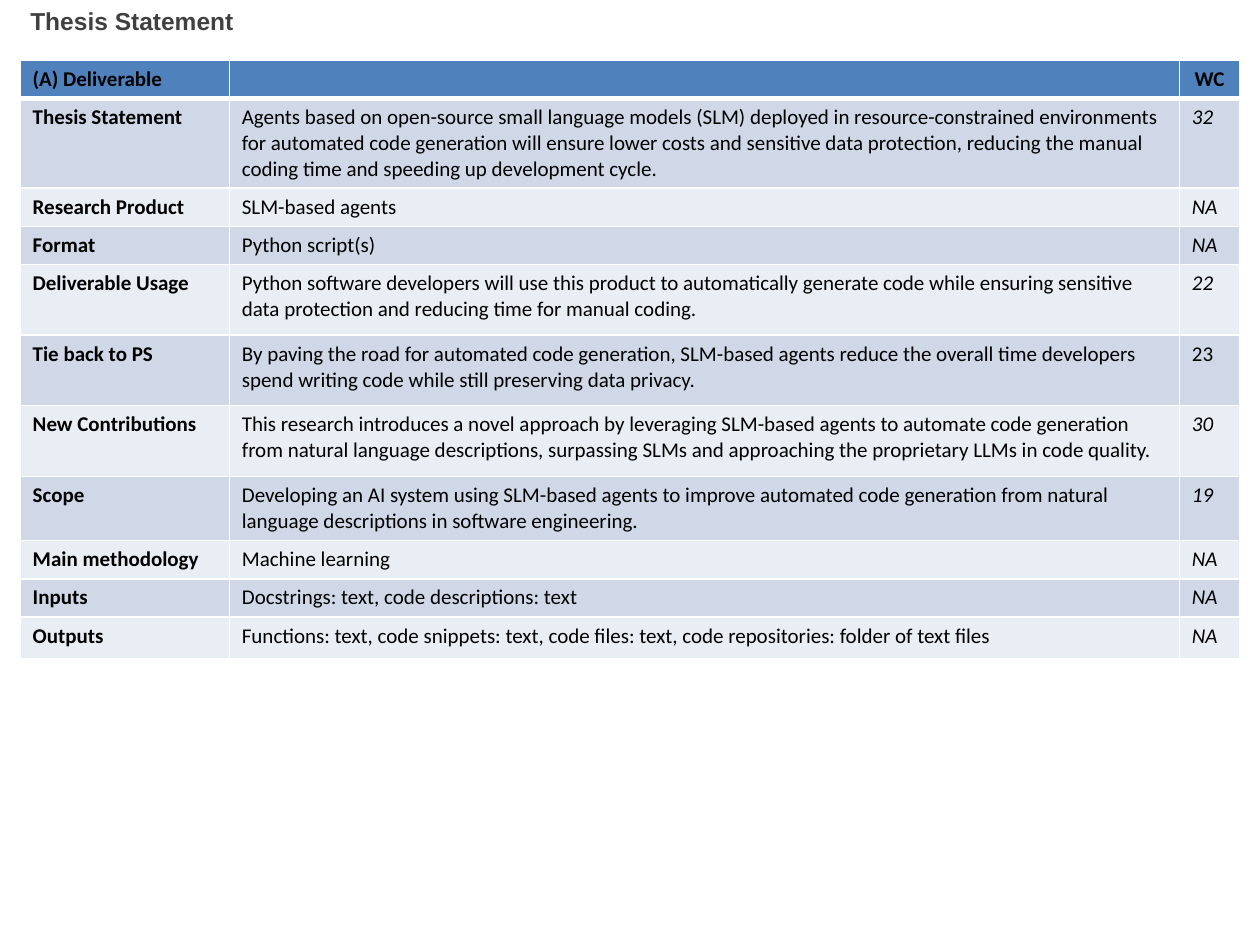
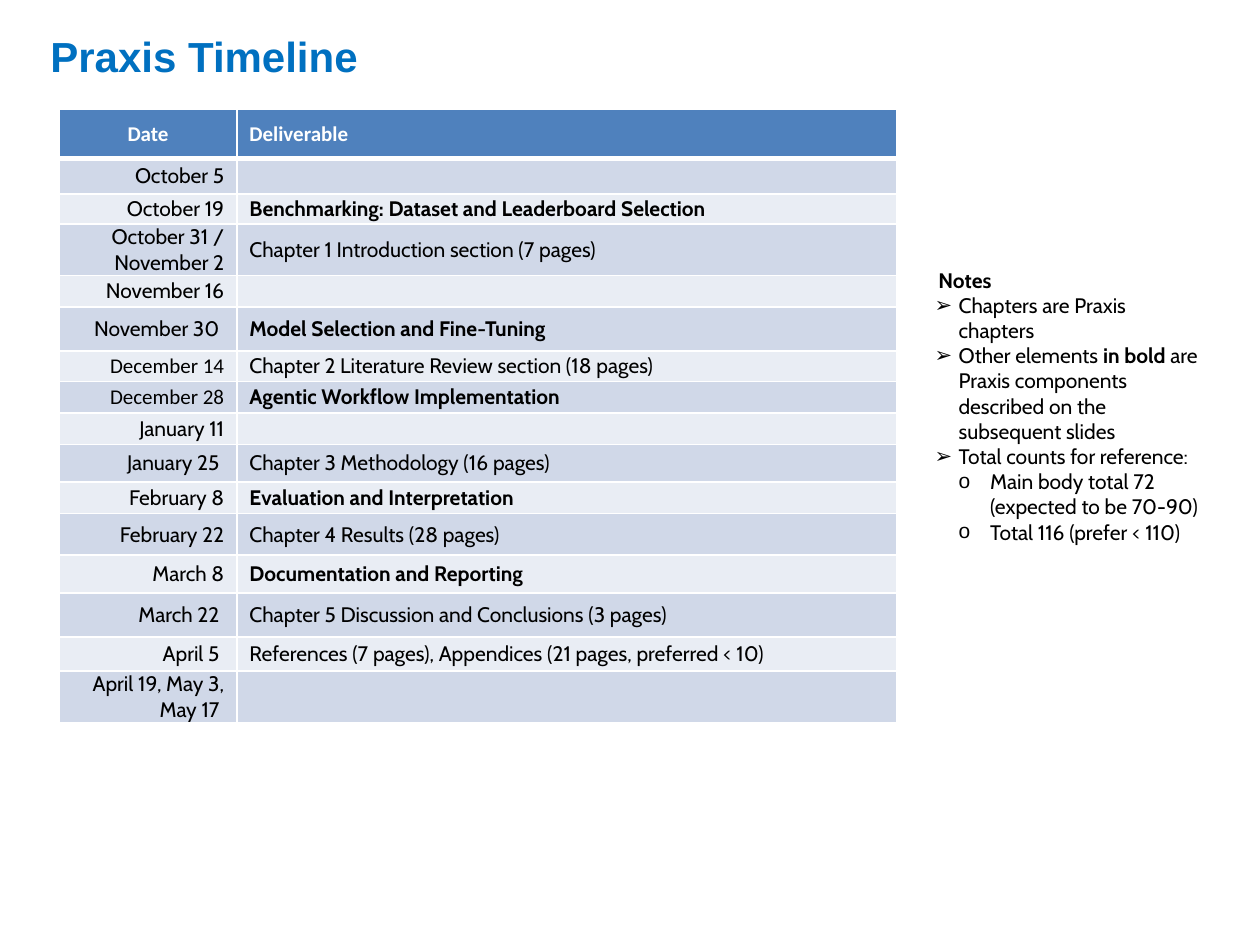
import lxml.etree
import pptx
import pptx.dml.color
import pptx.enum.text
import pptx.oxml.ns
import pptx.util

HEADER_FILL = "4F81BD"
BAND_FILLS = ["D0D8E8", "E9EDF4"]
WHITE = "FFFFFF"
BLACK = "000000"
BODY_SIZE = pptx.util.Pt(12)
LEFT = pptx.enum.text.PP_ALIGN.LEFT
CENTER = pptx.enum.text.PP_ALIGN.CENTER
RIGHT = pptx.enum.text.PP_ALIGN.RIGHT
TOP = pptx.enum.text.MSO_ANCHOR.TOP
MIDDLE = pptx.enum.text.MSO_ANCHOR.MIDDLE
qn = pptx.oxml.ns.qn

presentation = pptx.Presentation()
presentation.slide_width = pptx.util.Inches(10)
presentation.slide_height = pptx.util.Inches(7.5)
# The grid has 100 columns and 75 rows of square units.
UNIT = presentation.slide_width // 100


def colour(hex_text):
    return pptx.dml.color.RGBColor.from_string(hex_text)


def draw_table(slide, left, top, widths, heights, rows, anchor, margin):
    """Draw a banded table; each cell is (text, font name, hex colour, bold, italic, alignment)."""
    frame = slide.shapes.add_table(
        len(rows), len(widths), int(left * UNIT), int(top * UNIT),
        int(sum(widths) * UNIT), int(sum(heights) * UNIT))
    table = frame.table
    for column, width in zip(table.columns, widths):
        column.width = int(width * UNIT)
    for row_index, cells in enumerate(rows):
        table.rows[row_index].height = int(heights[row_index] * UNIT)
        for column_index, (text, font_name, text_colour, bold, italic, alignment) in enumerate(cells):
            cell = table.cell(row_index, column_index)
            cell.vertical_anchor = anchor
            cell.margin_top = cell.margin_bottom = int(margin * UNIT)
            properties = cell._tc.get_or_add_tcPr()
            for side in ("lnL", "lnR", "lnT", "lnB"):
                heavy = (row_index, side) in [(0, "lnB"), (1, "lnT")]
                line = lxml.etree.SubElement(
                    properties, qn("a:" + side), w=str(pptx.util.Pt(3 if heavy else 1)))
                line_fill = lxml.etree.SubElement(line, qn("a:solidFill"))
                lxml.etree.SubElement(line_fill, qn("a:srgbClr"), val=WHITE)
            cell.fill.solid()
            cell.fill.fore_color.rgb = colour(
                BAND_FILLS[(row_index - 1) % 2] if row_index else HEADER_FILL)
            paragraph = cell.text_frame.paragraphs[0]
            paragraph.alignment = alignment
            if text:
                run = paragraph.add_run()
                run.text = text
                run.font.name = font_name
                run.font.size = BODY_SIZE
                run.font.bold = bold
                run.font.italic = italic
                run.font.color.rgb = colour(text_colour)
            else:
                lxml.etree.SubElement(
                    paragraph._p, qn("a:endParaRPr"), sz=str(int(BODY_SIZE.pt * 100)))


# Titles: text, left, top, width, height, size, colour
titles = [
    ("Thesis Statement", 1.4, 0, 84.8, 6.8, 14, "404040"),
    ("Praxis Timeline", 3, 1.9, 60, 5, 24, "0070C0"),
]
slides = []
for text, left, top, width, height, size, title_colour in titles:
    slide = presentation.slides.add_slide(presentation.slide_layouts[5])
    slides.append(slide)
    title = slide.shapes.title
    title.left, title.top = int(left * UNIT), int(top * UNIT)
    title.width, title.height = int(width * UNIT), int(height * UNIT)
    title.text_frame.auto_size = pptx.enum.text.MSO_AUTO_SIZE.NONE
    title.text_frame.vertical_anchor = TOP
    paragraph = title.text_frame.paragraphs[0]
    paragraph.alignment = LEFT
    run = paragraph.add_run()
    run.text = text
    run.font.name = "Arial"
    run.font.size = pptx.util.Pt(size)
    run.font.bold = True
    run.font.color.rgb = colour(title_colour)
thesis_slide, timeline_slide = slides

# Thesis statement: row height, label, description, word count
thesis_rows = [
    (7.1, "Thesis Statement", "Agents based on open-source small language models (SLM) deployed in "
     "resource-constrained environments for automated code generation will ensure lower costs and "
     "sensitive data protection, reducing the manual coding time and speeding up development cycle.", "32"),
    (3, "Research Product", "SLM-based agents", "NA"),
    (3, "Format", "Python script(s)", "NA"),
    (5.6, "Deliverable Usage", "Python software developers will use this product to automatically "
     "generate code while ensuring sensitive data protection and reducing time for manual coding.", "22"),
    (5.6, "Tie back to PS", "By paving the road for automated code generation, SLM-based agents reduce "
     "the overall time developers spend writing code while still preserving data privacy.", "23"),
    (5.6, "New Contributions", "This research introduces a novel approach by leveraging SLM-based agents "
     "to automate code generation from natural language descriptions, surpassing SLMs and approaching "
     "the proprietary LLMs in code quality.", "30"),
    (5.1, "Scope", "Developing an AI system using SLM-based agents to improve automated code generation "
     "from natural language descriptions in software engineering.", "19"),
    (3, "Main methodology", "Machine learning", "NA"),
    (3, "Inputs", "Docstrings: text, code descriptions: text", "NA"),
    (3.3, "Outputs", "Functions: text, code snippets: text, code files: text, "
     "code repositories: folder of text files", "NA"),
]
heights = [3]
rows = [[
    ("(A) Deliverable", "Calibri", BLACK, True, False, LEFT),
    ("", "Calibri", BLACK, True, False, LEFT),
    ("WC", "Calibri", BLACK, True, False, CENTER),
]]
for height, label, description, word_count in thesis_rows:
    heights.append(height)
    rows.append([
        (label, "Calibri", BLACK, True, False, LEFT),
        (description, "Calibri", BLACK, False, False, LEFT),
        (word_count, "Calibri", BLACK, False, label != "Tie back to PS", LEFT),
    ])
draw_table(thesis_slide, 1.6, 4.8, [16.6, 75.4, 4.8], heights, rows, TOP, 0.5)

# Timeline: row height, date, deliverable (chapters and references are not bold)
timeline_rows = [
    (2.8, "October 5", ""),
    (2.4, "October 19", "Benchmarking: Dataset and Leaderboard Selection"),
    (4, "October 31 / November 2", "Chapter 1 Introduction section (7 pages)"),
    (2.5, "November 16", ""),
    (3.5, "November 30 ", "Model Selection and Fine-Tuning"),
    (2.4, "December 14", "Chapter 2 Literature Review section (18 pages)"),
    (2.5, "December 28", "Agentic Workflow Implementation"),
    (2.5, "January 11", ""),
    (3, "January 25 ", "Chapter 3 Methodology (16 pages)"),
    (2.5, "February 8", "Evaluation and Interpretation"),
    (3.3, "February 22", "Chapter 4 Results (28 pages)"),
    (3, "March 8", "Documentation and Reporting"),
    (3.5, "March 22 ", "Chapter 5 Discussion and Conclusions (3 pages)"),
    (2.7, "April 5 ", "References (7 pages), Appendices (21 pages, preferred < 10)"),
    (3.9, "April 19, May 3, May 17 ", ""),
]
heights = [3.9]
rows = [[
    ("Date", "Calibri", WHITE, True, False, CENTER),
    ("Deliverable", "Calibri", WHITE, True, False, LEFT),
]]
for height, date, deliverable in timeline_rows:
    heights.append(height)
    date_font = "Calibri" if date.startswith("December") else "Cabin"
    is_component = not deliverable.startswith(("Chapter", "References"))
    rows.append([
        (date, date_font, BLACK, False, False, RIGHT),
        (deliverable, "Cabin", BLACK, is_component, False, LEFT),
    ])
draw_table(timeline_slide, 4.7, 8.7, [14.1, 52.4], heights, rows, MIDDLE, 0)

# Notes: bullet, left margin, first-line indent, runs of (text, bold)
notes = [
    ("", 0.3, 0, [("Notes", True)]),
    ("➢", 1.9, -1.9, [("Chapters are Praxis chapters", False)]),
    ("➢", 1.9, -1.9, [("Other elements ", False), ("in bold ", True),
                      ("are Praxis components described on the subsequent slides", False)]),
    ("➢", 1.9, -1.9, [("Total counts for reference:", False)]),
    ("o", 4.4, -2.5, [("Main body total 72 (expected to be 70-90)", False)]),
    ("o", 4.4, -2.5, [("Total 116 (prefer < 110)", False)]),
]
notes_box = timeline_slide.shapes.add_textbox(
    int(73.2 * UNIT), int(20.7 * UNIT), int(23 * UNIT), int(23.2 * UNIT))
notes_frame = notes_box.text_frame
notes_frame.word_wrap = True
for index, (bullet, margin, indent, runs) in enumerate(notes):
    paragraph = notes_frame.add_paragraph() if index else notes_frame.paragraphs[0]
    paragraph.level = 1 if bullet == "o" else 0
    properties = paragraph._p.get_or_add_pPr()
    properties.set("marL", str(int(margin * UNIT)))
    properties.set("indent", str(int(indent * UNIT)))
    if bullet:
        lxml.etree.SubElement(properties, qn("a:buFont"), typeface="Arial")
        lxml.etree.SubElement(properties, qn("a:buChar"), char=bullet)
    for text, bold in runs:
        run = paragraph.add_run()
        run.text = text
        run.font.name = "Cabin"
        run.font.size = BODY_SIZE
        run.font.bold = bold
        run.font.color.rgb = colour(BLACK)

presentation.save("out.pptx")
